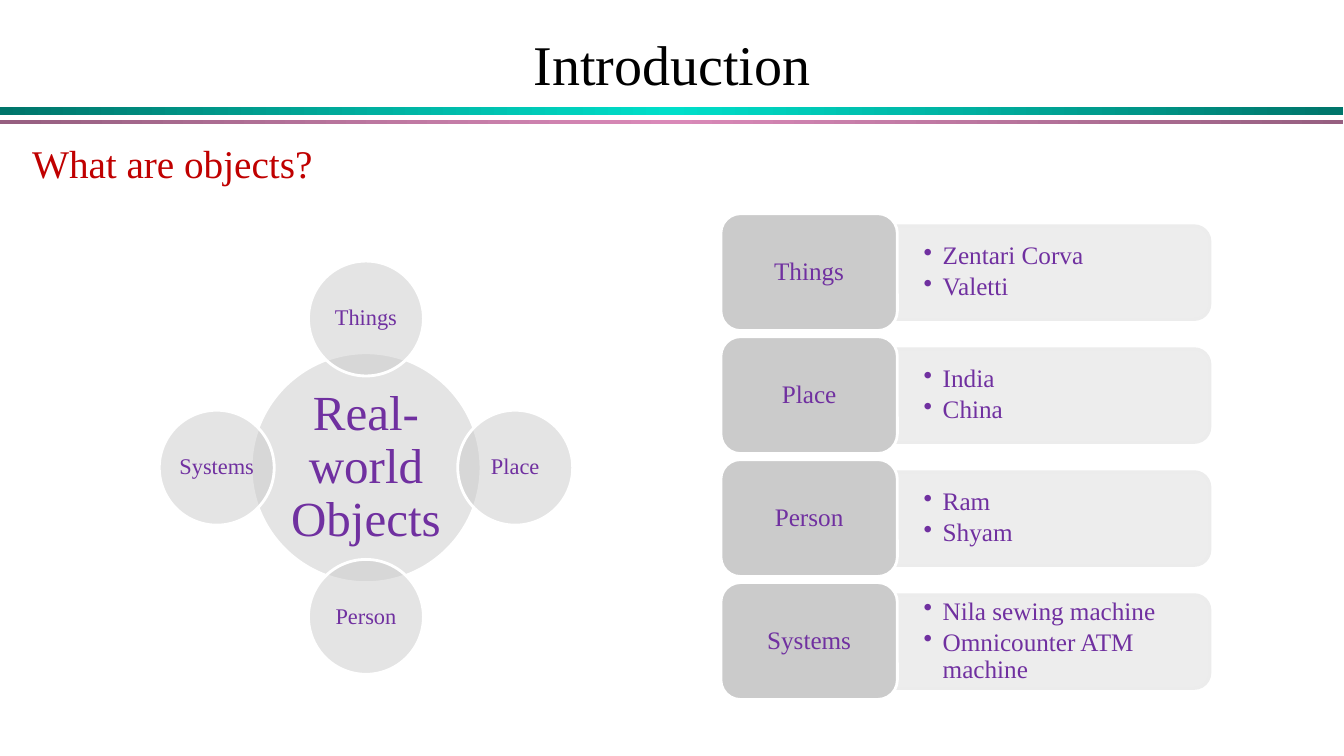
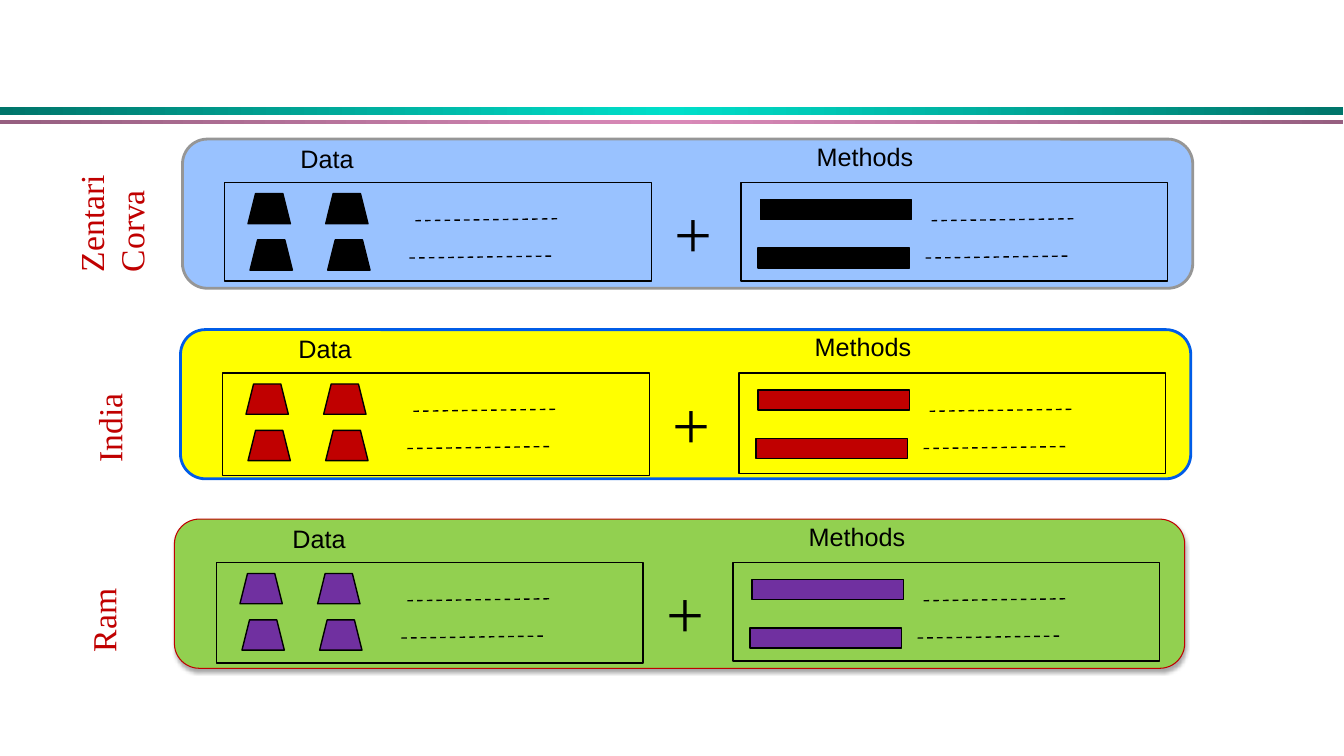
from copy import deepcopy
from math import cos, radians, sin

from pptx import Presentation
from pptx.dml.color import RGBColor
from pptx.enum.dml import MSO_LINE
from pptx.enum.shapes import MSO_CONNECTOR, MSO_SHAPE
from pptx.enum.text import MSO_ANCHOR, PP_ALIGN
from pptx.oxml import parse_xml
from pptx.oxml.ns import nsdecls, qn
from pptx.util import Inches, Pt

RECT, ROUNDED = MSO_SHAPE.RECTANGLE, MSO_SHAPE.ROUNDED_RECTANGLE
OVAL, TRAPEZOID = MSO_SHAPE.OVAL, MSO_SHAPE.TRAPEZOID
TAB = MSO_SHAPE.ROUND_2_SAME_RECTANGLE
LEFT, CENTER = PP_ALIGN.LEFT, PP_ALIGN.CENTER
TOP, MIDDLE = MSO_ANCHOR.TOP, MSO_ANCHOR.MIDDLE
DASH, STRAIGHT = MSO_LINE.DASH, MSO_CONNECTOR.STRAIGHT
TITLE_ONLY, BLANK = 5, 6

# Shared look
SERIF, SANS = "Times New Roman", "Arial"
BLACK, WHITE, RED, PURPLE = "000000", "FFFFFF", "C00000", "7030A0"
GREY, PALE_GREY = "CBCBCB", "ECECEC"
BANDS = [  # top, height, edge colour, middle colour
    (1.06, 0.08, "00756A", "00DFCA"),
    (1.19, 0.04, "965F80", "D989B8"),
]

# Slide 1 content
TITLE = "Introduction"
QUESTION = "What are objects?"
HUB = "Real-world Objects"
KINDS = [
    ("Things", ["Zentari Corva", "Valetti"]),
    ("Place", ["India", "China"]),
    ("Person", ["Ram", "Shyam"]),
    ("Systems", ["Nila sewing machine", "Omnicounter ATM machine"]),
]

# Slide 2 content
OBJECTS = [
    dict(name="Zentari Corva", name_lines=2, at=(1.81, 1.38), fill="99C2FF",
         line="969696", weight=2, parts=BLACK, box_heights=(0.98, 0.98)),
    dict(name="India", name_lines=1, at=(1.79, 3.27), fill="FFFF00",
         line="005CE7", weight=2, parts=RED, box_heights=(1.02, 1)),
    dict(name="Ram", name_lines=1, at=(1.73, 5.15), fill="92D050",
         line=RED, weight=0.75, parts=PURPLE, box_heights=(1, 0.98), shadow=True),
]
SECTIONS = [("Data", 0.42, 0.04), ("Methods", 5.54, 0.02)]  # label, left, label top
DASHES = [(1.89, 0.81), (1.83, 1.18)]  # start of each dashed line in a section


def rgb(value):
    return RGBColor.from_string(value)


def box(left, top, width, height):
    return [Inches(round(v, 2)) for v in (left, top, width, height)]


def write(shape, lines, size, color, font=SERIF, align=LEFT, anchor=TOP,
          margins=(0, 0), spacing=None, after=None, bullet_indent=None):
    frame = shape.text_frame
    side, end = (Inches(m) for m in margins)
    settings = dict(word_wrap=True, vertical_anchor=anchor, margin_left=side,
                    margin_right=side, margin_top=end, margin_bottom=end)
    for key, value in settings.items():
        setattr(frame, key, value)
    for i, line in enumerate(lines):
        paragraph = frame.add_paragraph() if i else frame.paragraphs[0]
        paragraph.alignment = align
        if spacing:
            paragraph.line_spacing = spacing
        if after is not None:
            paragraph.space_after = Pt(after)
        if bullet_indent:
            props = paragraph._p.get_or_add_pPr()
            props.set("marL", str(Inches(bullet_indent)))
            props.set("indent", str(-Inches(bullet_indent)))
            props.append(parse_xml(f'<a:buChar {nsdecls("a")} char="•"/>'))
        run = paragraph.add_run()
        run.text = line
        for key, value in dict(name=font, size=Pt(size), bold=False).items():
            setattr(run.font, key, value)
        run.font.color.rgb = rgb(color)


def add_text(slide, place, lines, size, color, **options):
    text = slide.shapes.add_textbox(*box(*place))
    write(text, lines, size, color, **options)
    return text


def add_shape(slide, kind, place, fill=None, line=BLACK, weight=1, alpha=None):
    shape = slide.shapes.add_shape(kind, *box(*place))
    shape.shadow.inherit = False
    if fill:
        shape.fill.solid()
        shape.fill.fore_color.rgb = rgb(fill)
    else:
        shape.fill.background()
    if alpha:
        color = shape._element.spPr.find(qn("a:solidFill"))[0]
        color.append(parse_xml(f'<a:alpha {nsdecls("a")} val="{alpha * 1000}"/>'))
    if line:
        shape.line.color.rgb = rgb(line)
        shape.line.width = Pt(weight)
    else:
        shape.line.fill.background()
    return shape


def add_dash(slide, x, y):
    dash = slide.shapes.add_connector(
        STRAIGHT, *box(x, y, x + 1.44, y - 0.02))
    dash.line.color.rgb = rgb(BLACK)
    dash.line.width = Pt(1)
    dash.line.dash_style = DASH
    dash._element.spPr.append(parse_xml(f'<a:effectLst {nsdecls("a")}/>'))


def drop_shadow(shape):
    shape._element.spPr.find(qn("a:effectLst")).append(parse_xml(
        f'<a:outerShdw {nsdecls("a")} blurRad="{Pt(3.1)}" dist="{Pt(1.8)}" '
        'dir="5400000" rotWithShape="0"><a:srgbClr val="000000">'
        '<a:alpha val="35000"/></a:srgbClr></a:outerShdw>'))


def put_bands_on_master(prs, slide):
    """Draw the bands once and move them to the master, for every slide."""
    for top, height, edge, middle in BANDS:
        band = add_shape(slide, RECT, (0, top, 13.32, height), line=None)
        band.fill.gradient()
        band.fill.gradient_angle = 0
        stops = band._element.spPr.find(qn("a:gradFill")).find(qn("a:gsLst"))
        stops.append(deepcopy(stops[0]))
        for stop, color, position in zip(
                band.fill.gradient_stops, (edge, middle, edge), (0, 0.5, 1)):
            stop.color.rgb = rgb(color)
            stop.position = position
        prs.slide_master.shapes._spTree.append(band._element)


def build_introduction(slide):
    title = slide.shapes.title
    title.left, title.top, title.width, title.height = box(0.22, 0.33, 12.89, 0.67)
    write(title, [TITLE], 40, BLACK, align=CENTER, anchor=MIDDLE,
          margins=(0.1, 0.05), spacing=0.9)
    add_text(slide, (0.22, 1.33, 12.53, 0.6), [QUESTION], 28, RED,
             margins=(0.1, 0.05))

    # Hub with one circle for each kind, clockwise from the top
    centre_x, centre_y, orbit = 3.63, 4.64, 1.48
    circles = [(HUB, 0, 0, 2.28, 35, 0.05)]
    for i, (kind, _) in enumerate(KINDS):
        angle = radians(90 * i - 90)
        circles.append((kind, orbit * cos(angle), orbit * sin(angle), 1.14, 16, 0.02))
    for label, dx, dy, size, points, margin in circles:
        place = (centre_x + dx - size / 2, centre_y + dy - size / 2, size, size)
        circle = add_shape(slide, OVAL, place, GREY, WHITE, 2, alpha=50)
        write(circle, [label], points, PURPLE, align=CENTER, anchor=MIDDLE,
              margins=(margin, margin), spacing=0.9)

    # Rows of examples: a rotated tab behind a tile
    tile_left, tile_width, tile_height, pitch = 7.15, 1.75, 1.16, 1.22
    tab_left, tab_width, tab_height = 8.89, 3.11, 0.93
    for i, (kind, examples) in enumerate(KINDS):
        top = 2.12 + i * pitch
        middle = top + tile_height / 2
        tab = add_shape(slide, TAB, (
            tab_left + (tab_width - tab_height) / 2, middle - tab_width / 2,
            tab_height, tab_width), PALE_GREY, PALE_GREY, 2, alpha=90)
        tab.rotation = 90
        add_text(slide, (tab_left, middle - 0.42, 3.06, 0.84), examples, 18,
                 PURPLE, anchor=MIDDLE, margins=(0.27, 0.14), spacing=0.9,
                 after=2.7, bullet_indent=0.19)
        tile = add_shape(slide, ROUNDED, (tile_left, top, tile_width, tile_height),
                         GREY, WHITE, 2)
        write(tile, [kind], 18, PURPLE, align=CENTER, anchor=MIDDLE,
              margins=(0.07, 0.04), spacing=0.9)


def build_object(slide, item):
    x, y = item["at"]
    panel = add_shape(slide, ROUNDED, (x, y, 10.02, 1.48),
                      item["fill"], item["line"], item["weight"])
    if item.get("shadow"):
        drop_shadow(panel)

    # Data and methods sections
    for (label, dx, label_top), height in zip(SECTIONS, item["box_heights"]):
        left = x + dx
        add_shape(slide, RECT, (left, y + 0.43, 4.23, height))
        add_text(slide, (left + 0.75, y + label_top, 1.85, 0.3), [label], 18,
                 BLACK, font=SANS)
        for dash_x, dash_y in DASHES:
            add_dash(slide, left + dash_x, y + dash_y)

    # Trapezoids stand for data, bars for methods
    for row in range(2):
        for column in range(2):
            add_shape(slide, TRAPEZOID, (
                x + 0.65 + 0.77 * column + 0.02 * row, y + 0.54 + 0.46 * row,
                0.42, 0.3), item["parts"])
        add_shape(slide, RECT, (
            x + 5.73 - 0.02 * row, y + 0.6 + 0.48 * row, 1.5, 0.2), item["parts"])
    add_text(slide, (x + 4.88, y + 0.52, 0.6, 0.81), ["+"], 48, BLACK)

    # Object name, reading upwards
    name_height = 0.4 * item["name_lines"]
    name = add_text(slide, (x - 1.34, y + 0.69 - name_height / 2, 1.26, name_height),
                    [item["name"]], 24, RED)
    name.rotation = 270


def main():
    prs = Presentation()
    prs.slide_width, prs.slide_height = Inches(13.33), Inches(7.5)
    introduction = prs.slides.add_slide(prs.slide_layouts[TITLE_ONLY])
    put_bands_on_master(prs, introduction)
    build_introduction(introduction)
    objects = prs.slides.add_slide(prs.slide_layouts[BLANK])
    for item in OBJECTS:
        build_object(objects, item)
    prs.save("out.pptx")


if __name__ == "__main__":
    main()
